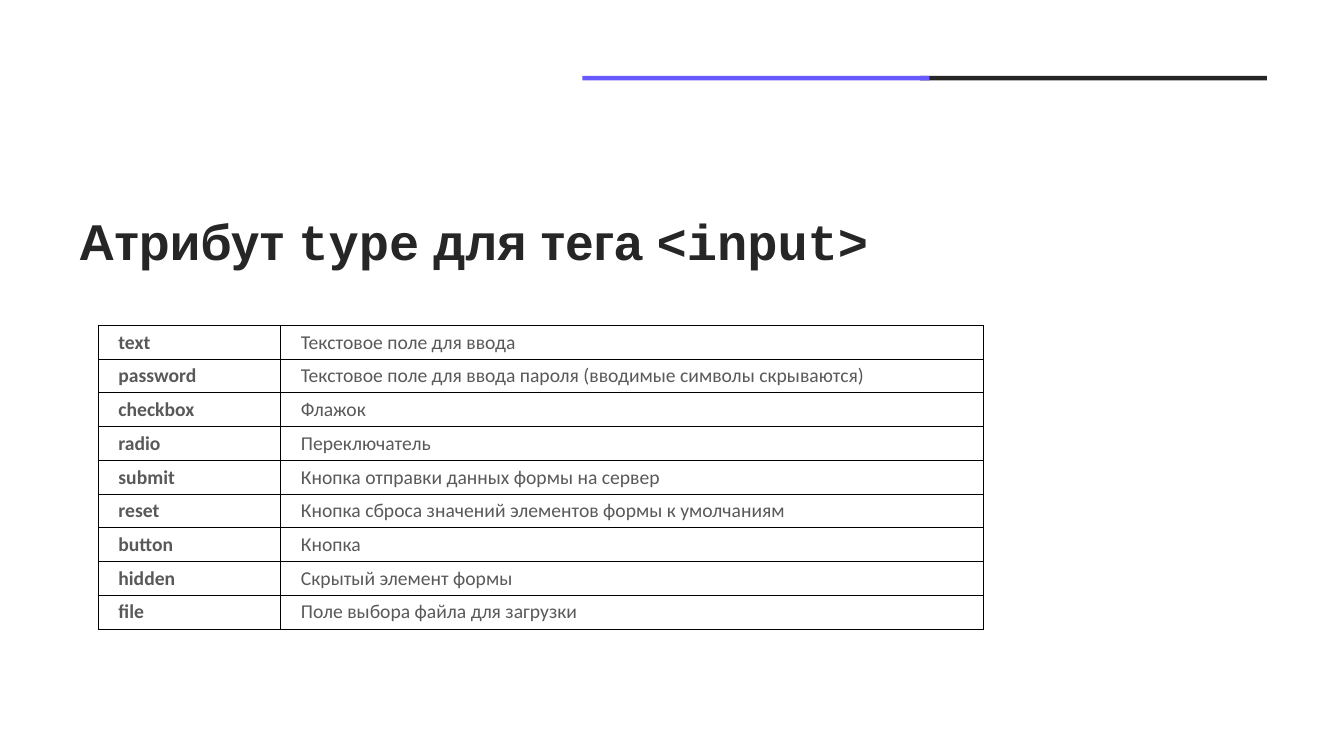
from lxml.etree import SubElement
from pptx import Presentation
from pptx.dml.color import RGBColor
from pptx.enum.shapes import MSO_SHAPE as Shape
from pptx.enum.text import MSO_ANCHOR as Anchor
from pptx.oxml.ns import qn
from pptx.util import Cm, Pt

COLORS = {"ink": "262626", "accent": "6759FE", "body": "595959", "border": "000000"}

TITLE = [
    ("Атрибут ", "Arial"),
    ("type", "Courier New"),
    (" для тега ", "Arial"),
    ("<input>", "Courier New"),
]

INPUT_TYPES = [
    ("text", "Текстовое поле для ввода"),
    ("password", "Текстовое поле для ввода пароля (вводимые символы скрываются)"),
    ("checkbox", "Флажок"),
    ("radio", "Переключатель"),
    ("submit", "Кнопка отправки данных формы на сервер"),
    ("reset", "Кнопка сброса значений элементов формы к умолчаниям"),
    ("button", "Кнопка"),
    ("hidden", "Скрытый элемент формы"),
    ("file", "Поле выбора файла для загрузки"),
]


class SlideBuilder:
    title_size = Pt(36)
    body_size = Pt(14)
    body_font = "Calibri"
    border_width = Pt(0.75)
    row_height = Cm(0.85)

    def __init__(self, slide):
        self.slide = slide

    def color(self, name):
        return RGBColor.from_string(COLORS[name])

    def run(self, paragraph, text, font, size, color, bold):
        run = paragraph.add_run()
        run.text = text
        run.font.name = font
        run.font.size = size
        run.font.bold = bold
        run.font.color.rgb = self.color(color)

    def title(self, parts, left, top, width, height):
        frame = self.slide.shapes.add_textbox(left, top, width, height).text_frame
        frame.word_wrap = True
        frame.vertical_anchor = Anchor.MIDDLE
        heading = frame.paragraphs[0]
        heading.line_spacing = 0.9
        for text, font in parts:
            self.run(heading, text, font, self.title_size, "ink", True)

    def bar(self, color, left, top, width, height):
        bar = self.slide.shapes.add_shape(Shape.RECTANGLE, left, top, width, height)
        bar.shadow.inherit = False
        bar.fill.solid()
        bar.fill.fore_color.rgb = self.color(color)
        bar.line.fill.background()

    def borders(self, cell):
        properties = cell._tc.get_or_add_tcPr()
        for side in ("a:lnL", "a:lnR", "a:lnT", "a:lnB"):
            edge = SubElement(properties, qn(side), w=str(self.border_width))
            fill = SubElement(edge, qn("a:solidFill"))
            SubElement(fill, qn("a:srgbClr"), val=COLORS["border"])

    def cell(self, cell, text, bold):
        self.borders(cell)
        cell.fill.background()
        entry = cell.text_frame.paragraphs[0]
        entry.space_before = Pt(5)
        entry._p.get_or_add_pPr().set("marL", str(Cm(0.25)))
        self.run(entry, text, self.body_font, self.body_size, "body", bold)

    def table(self, rows, left, top, widths):
        height = self.row_height * len(rows)
        table = self.slide.shapes.add_table(
            len(rows), len(widths), left, top, sum(widths), height
        ).table
        table.first_row = False
        table.horz_banding = False
        for column, width in zip(table.columns, widths):
            column.width = width
        for row, texts in zip(table.rows, rows):
            row.height = self.row_height
            for index, text in enumerate(texts):
                self.cell(row.cells[index], text, bold=index == 0)


def main():
    deck = Presentation()
    deck.slide_width, deck.slide_height = Cm(33.87), Cm(19.05)
    builder = SlideBuilder(deck.slides.add_slide(deck.slide_layouts[6]))
    builder.title(TITLE, Cm(1.73), Cm(5.26), Cm(30.2), Cm(1.8))
    for color, left in (("ink", 23.19), ("accent", 14.68)):
        builder.bar(color, Cm(left), Cm(1.91), Cm(8.74), Cm(0.12))
    builder.table(INPUT_TYPES, Cm(2.48), Cm(8.2), (Cm(4.6), Cm(17.7)))
    deck.save("out.pptx")


if __name__ == "__main__":
    main()
